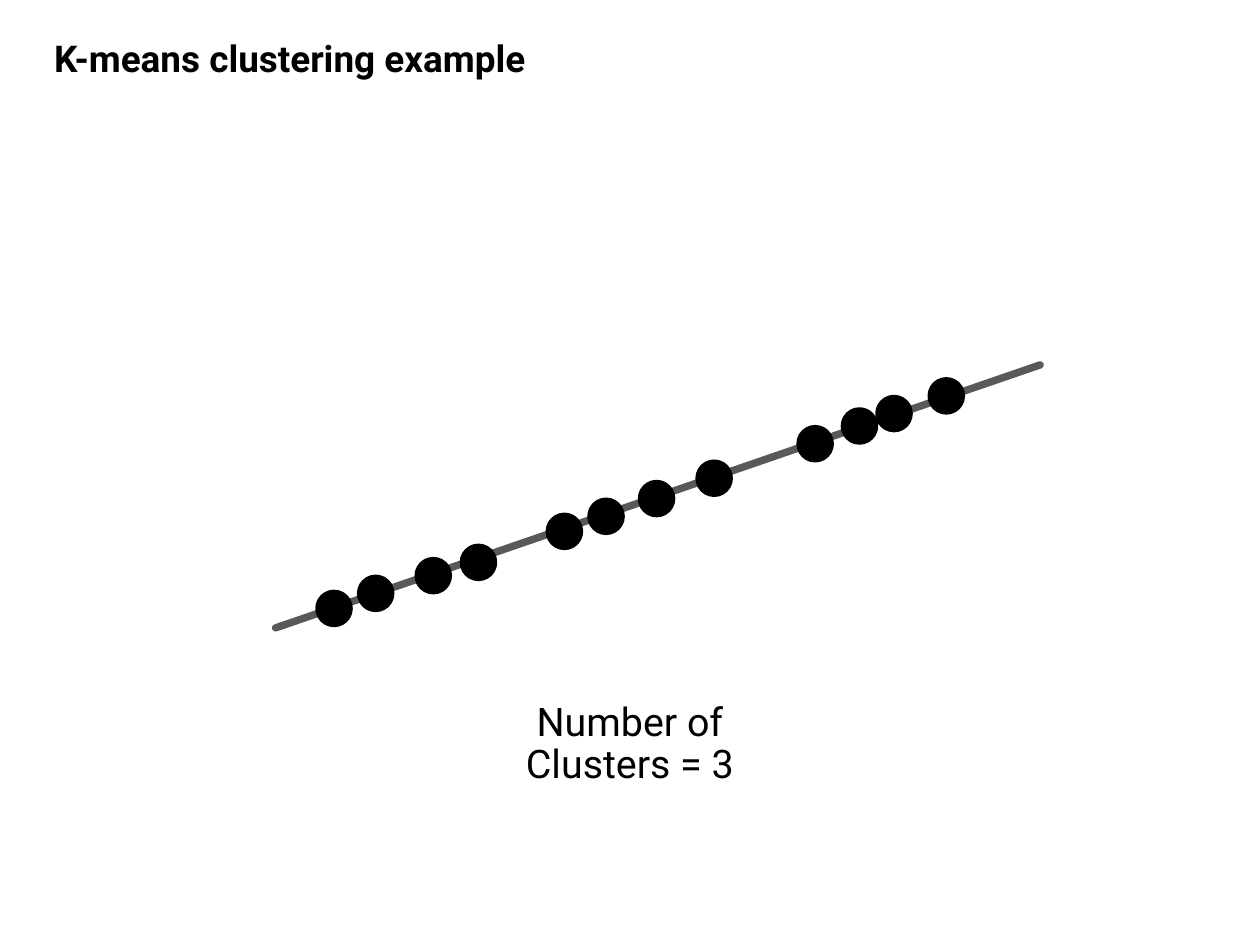
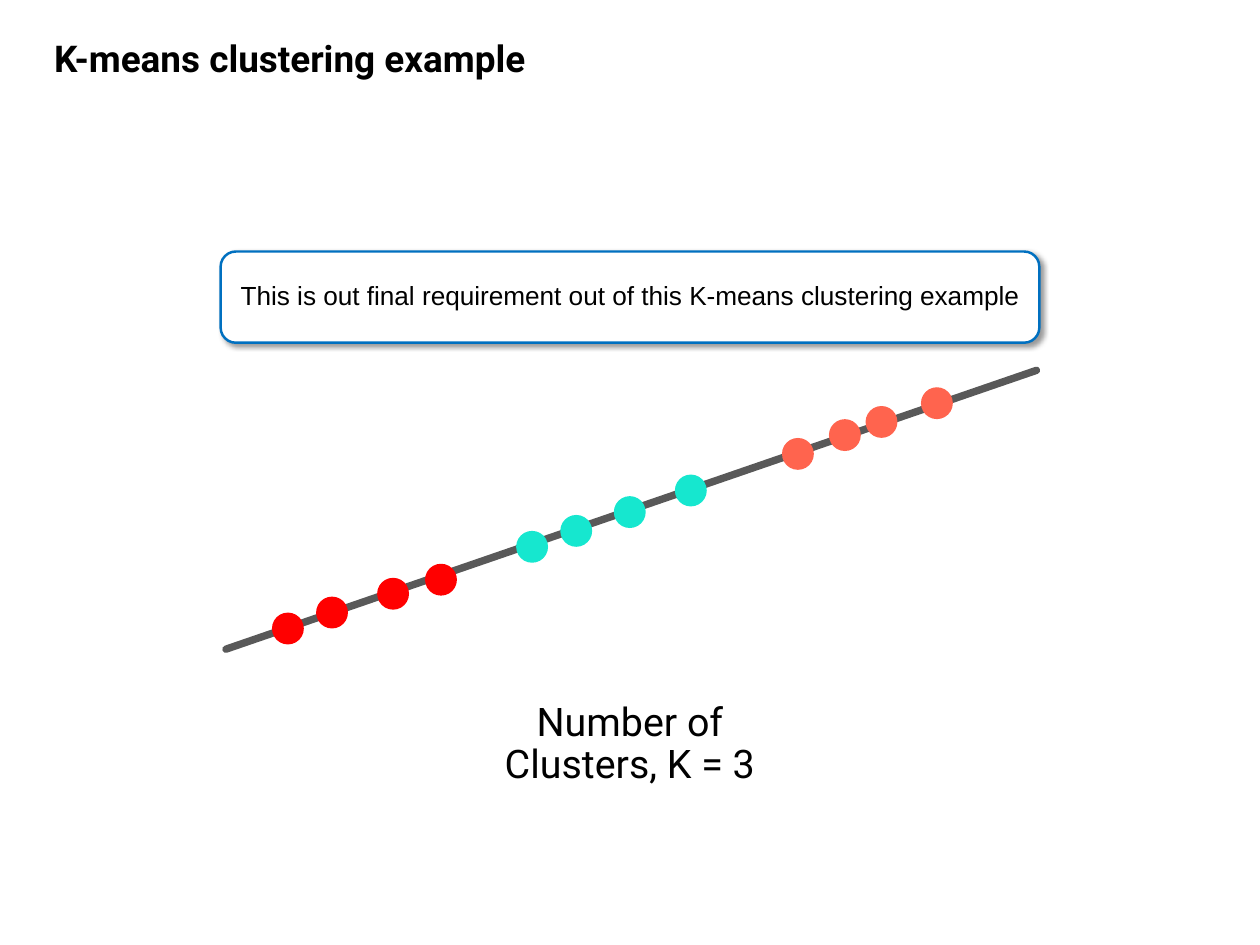
from lxml import etree
from pptx import Presentation
from pptx.dml.color import RGBColor
from pptx.enum.shapes import MSO_CONNECTOR, MSO_SHAPE
from pptx.enum.text import MSO_ANCHOR, MSO_AUTO_SIZE, PP_ALIGN
from pptx.oxml import parse_xml
from pptx.oxml.ns import nsdecls, qn
from pptx.util import Inches, Pt

COLORS = {
    "text": "000000", "background": "FFFFFF", "axis": "595959", "border": "0070C0",
    "point": "000000", "low": "FF0000", "middle": "16E7CF", "high": "FF644E",
}

# Point centres in three clusters, measured right and up from the start of the axis
CLUSTERS = [
    [(0.66, 0.22), (1.13, 0.39), (1.78, 0.59), (2.29, 0.74)],
    [(3.26, 1.09), (3.73, 1.26), (4.30, 1.46), (4.95, 1.69)],
    [(6.09, 2.08), (6.59, 2.28), (6.98, 2.42), (7.57, 2.62)],
]
AXIS_WIDTH, AXIS_RISE = 8.63, 2.97

SLIDES = [
    {"origin": (3.11, 7.09), "scale": 1, "diameter": 0.34, "outline": True,
     "colors": ["point"] * 3, "caption": "Number of Clusters = 3", "callout": None},
    {"origin": (2.55, 7.33), "scale": 1.06, "diameter": 0.36, "outline": False,
     "colors": ["low", "middle", "high"], "caption": "Number of Clusters, K = 3",
     "callout": "This is out final requirement out of this K-means clustering example"},
]


def color(name):
    return RGBColor.from_string(COLORS[name])


def write_text(shape, text, size, font="Roboto", bold=False,
               align=PP_ALIGN.CENTER, anchor=MSO_ANCHOR.TOP):
    frame = shape.text_frame
    frame.word_wrap = True
    frame.auto_size = MSO_AUTO_SIZE.NONE
    frame.vertical_anchor = anchor
    paragraph = frame.paragraphs[0]
    paragraph.alignment = align
    paragraph.line_spacing = 0.9
    run = paragraph.add_run()
    run.text = text
    run.font.name = font
    run.font.size = Pt(size)
    run.font.bold = bold
    run.font.color.rgb = color("text")


presentation = Presentation()
presentation.slide_width = Inches(14.22)
presentation.slide_height = Inches(10.67)
background = presentation.slide_master.background.fill
background.solid()
background.fore_color.rgb = color("background")

for content in SLIDES:
    slide = presentation.slides.add_slide(presentation.slide_layouts[5])

    # Title
    title = slide.shapes.title
    title.left, title.top = Inches(0.51), Inches(0.41)
    title.width, title.height = Inches(7.34), Inches(0.56)
    write_text(title, "K-means clustering example", 30, bold=True, align=PP_ALIGN.LEFT)

    # Axis with round ends
    left, bottom = content["origin"]
    scale = content["scale"]
    axis = slide.shapes.add_connector(
        MSO_CONNECTOR.STRAIGHT, Inches(left), Inches(bottom),
        Inches(left + AXIS_WIDTH * scale), Inches(bottom - AXIS_RISE * scale))
    axis.line.color.rgb = color("axis")
    axis.line.width = Pt(6)
    axis.line._get_or_add_ln().set("cap", "rnd")
    etree.SubElement(axis._element.spPr, qn("a:effectLst"))

    # Points, one group per cluster
    diameter = content["diameter"]
    for cluster, color_name in zip(CLUSTERS, content["colors"]):
        group = slide.shapes.add_group_shape()
        for right, up in cluster:
            point = group.shapes.add_shape(
                MSO_SHAPE.OVAL,
                Inches(left + right * scale - diameter / 2),
                Inches(bottom - up * scale - diameter / 2),
                Inches(diameter), Inches(diameter))
            point.shadow.inherit = False
            point.fill.solid()
            point.fill.fore_color.rgb = color(color_name)
            if content["outline"]:
                point.line.color.rgb = color(color_name)
                point.line.width = Pt(6)
            else:
                point.line.fill.background()

    # Caption
    caption = slide.shapes.add_textbox(Inches(5.19), Inches(7.88), Inches(3.84), Inches(1.07))
    write_text(caption, content["caption"], 32)

    # Callout with a soft shadow
    if content["callout"]:
        callout = slide.shapes.add_shape(
            MSO_SHAPE.ROUNDED_RECTANGLE, Inches(2.49), Inches(2.84), Inches(9.24), Inches(1.03))
        callout.fill.solid()
        callout.fill.fore_color.rgb = color("background")
        callout.line.color.rgb = color("border")
        callout.line.width = Pt(2)
        callout._element.spPr.append(parse_xml(
            f'<a:effectLst {nsdecls("a")}>'
            f'<a:outerShdw blurRad="{Pt(4)}" dist="{Pt(3)}" dir="2700000" rotWithShape="0">'
            f'<a:srgbClr val="{COLORS["text"]}"><a:alpha val="40000"/></a:srgbClr>'
            '</a:outerShdw></a:effectLst>'))
        write_text(callout, content["callout"], 21.3, font="Arial", anchor=MSO_ANCHOR.MIDDLE)

presentation.save("out.pptx")
